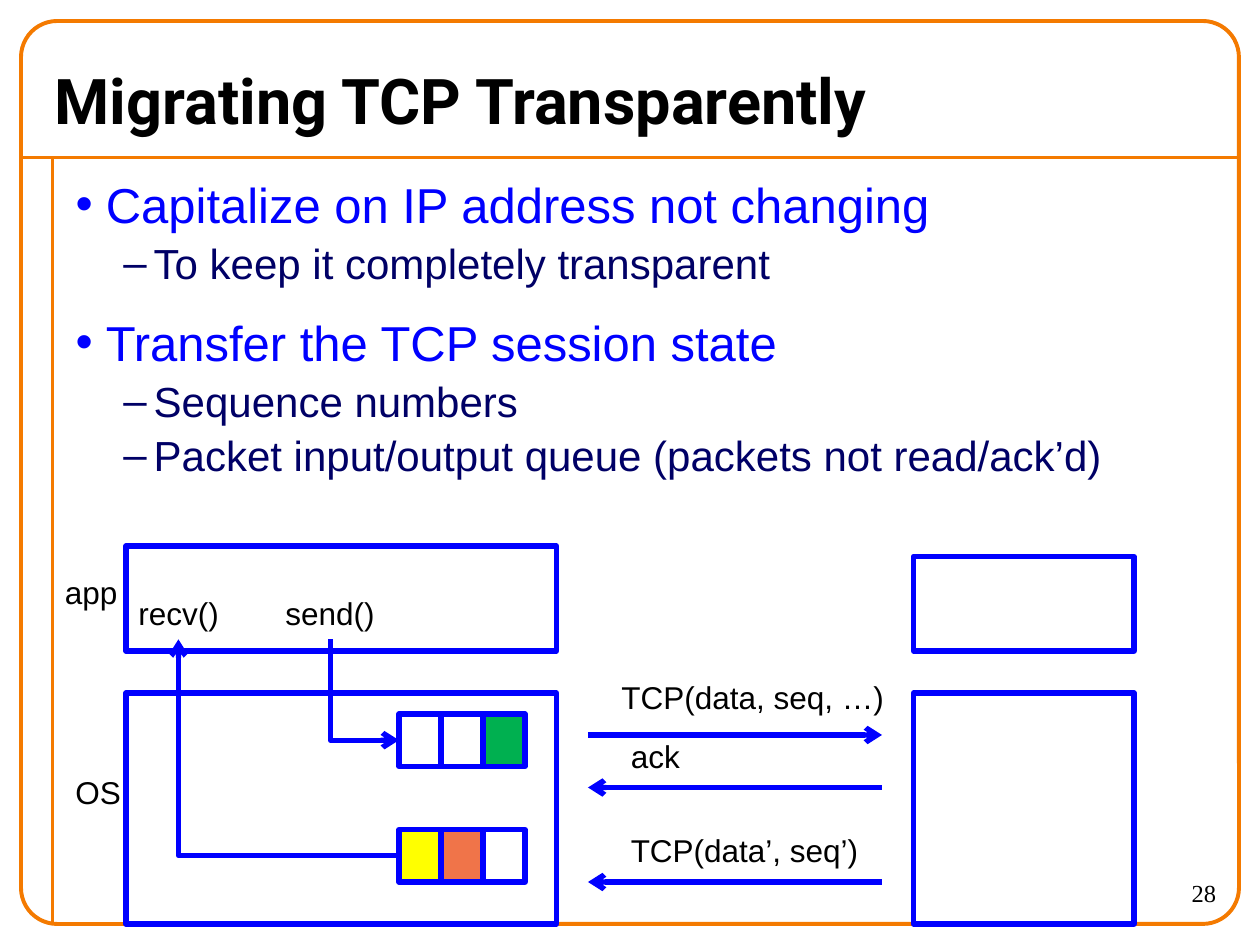
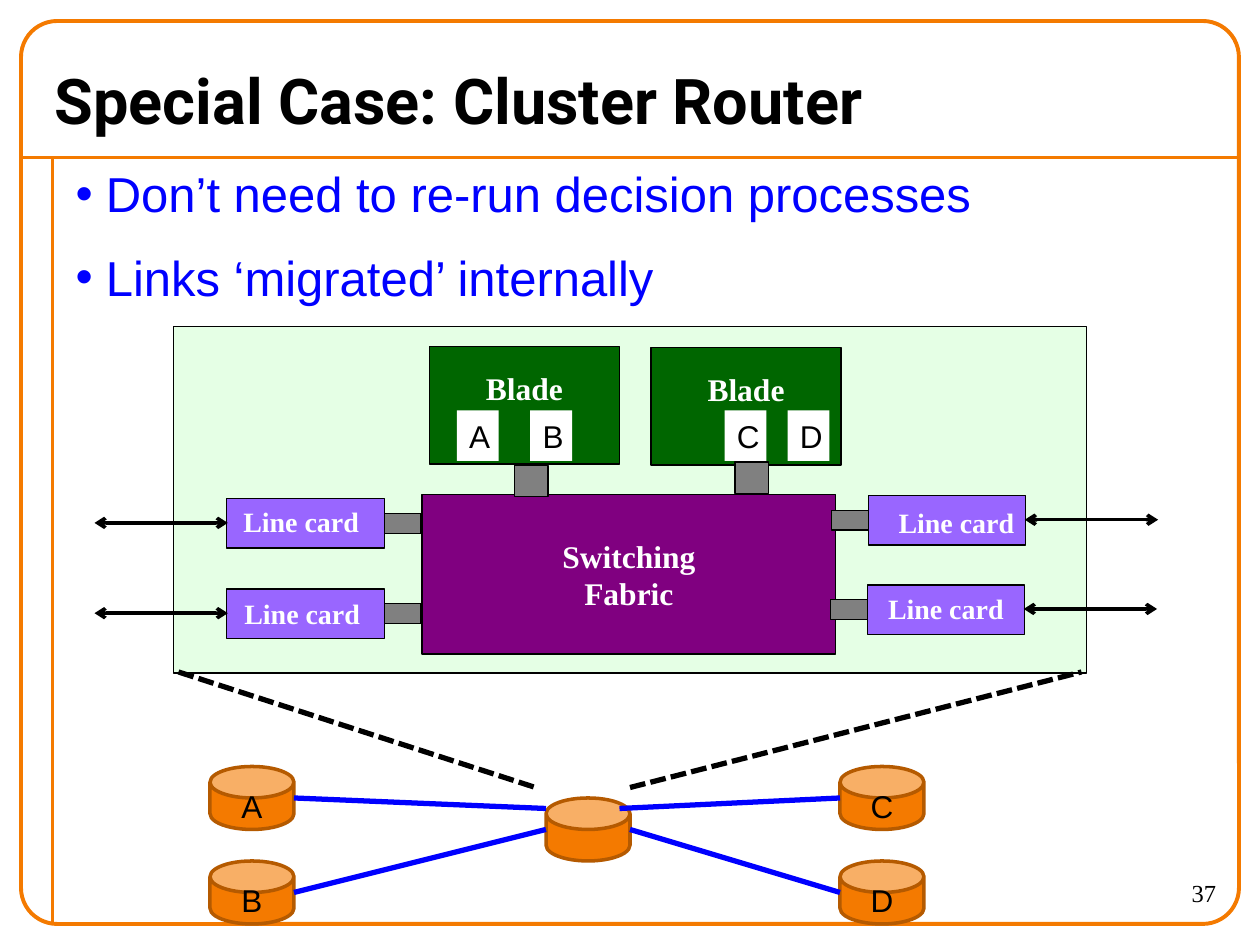
"""Build two slides, on TCP migration and on cluster routers, on a grid of 120 by 90."""
from lxml import etree
from pptx import Presentation
from pptx.dml.color import RGBColor
from pptx.enum.dml import MSO_LINE
from pptx.enum.shapes import MSO_CONNECTOR, MSO_SHAPE
from pptx.enum.text import MSO_ANCHOR, MSO_AUTO_SIZE, PP_ALIGN
from pptx.oxml.ns import qn
from pptx.util import Inches, Pt

RECT, ROUND, CAN = MSO_SHAPE.RECTANGLE, MSO_SHAPE.ROUNDED_RECTANGLE, MSO_SHAPE.CAN
LEFT, MID, RIGHT = PP_ALIGN.LEFT, PP_ALIGN.CENTER, PP_ALIGN.RIGHT
STRAIGHT, ELBOW = MSO_CONNECTOR.STRAIGHT, MSO_CONNECTOR.ELBOW
DOTS = MSO_LINE.SQUARE_DOT
ARIAL, TIMES = "Arial", "Times New Roman"
HEX = {
    "orange": "F47A00", "rust": "B55A00", "blue": "0000FF", "navy": "000066",
    "black": "000000", "white": "FFFFFF", "green": "00B050", "yellow": "FFFF00",
    "coral": "F07449", "mint": "CCFFCC", "purple": "800080", "forest": "006600",
    "gray": "808080", "violet": "9966FF",
}
RGB = {name: RGBColor.from_string(code) for name, code in HEX.items()}
UNIT = Inches(10) / 120
SIGN = {"font": TIMES, "ink": "white", "bold": True}


def box(slide, kind, at, fill=None, line=None, pts=0.75, text="", size=18,
        font=ARIAL, ink="black", bold=False, align=LEFT, wrap=True):
    """Add a shape, or a text box when kind is None, at grid columns and rows."""
    place = [round(n * UNIT) for n in at]
    if kind is None:
        shape = slide.shapes.add_textbox(*place)
    else:
        shape = slide.shapes.add_shape(kind, *place)
        shape.shadow.inherit = False
    if fill:
        shape.fill.solid()
        shape.fill.fore_color.rgb = RGB[fill]
    else:
        shape.fill.background()
    if line:
        shape.line.color.rgb = RGB[line]
        shape.line.width = Pt(pts)
    else:
        shape.line.fill.background()
    if text:
        frame = shape.text_frame
        frame.text = text
        frame.word_wrap = wrap
        for para in frame.paragraphs:
            para.alignment = align
            para.font.name, para.font.size, para.font.bold = font, Pt(size), bold
            para.font.color.rgb = RGB[ink]
    return shape


def link(slide, start, end, ink, pts, ends=(), dash=None, kind=STRAIGHT):
    """Add a line between two grid points, with arrows at the named ends."""
    line = slide.shapes.add_connector(kind, *[round(n * UNIT) for n in (*start, *end)])
    line.line.color.rgb = RGB[ink]
    line.line.width = Pt(pts)
    if dash:
        line.line.dash_style = dash
    props = line.element.spPr
    for name in ends:
        etree.SubElement(props.find(qn("a:ln")), qn(f"a:{name}End"), type="arrow")
    etree.SubElement(props, qn("a:effectLst"))
    if kind == ELBOW:
        props.find(qn("a:prstGeom")).set("prst", "bentConnector2")


deck = Presentation()
deck.slide_width, deck.slide_height = Inches(10), Inches(7.5)

LEVELS = [("•", 0.24, "50000", 28, "blue"), ("–", 0.62, "10000", 24, "navy")]
PAGES = [
    ("Migrating TCP Transparently", "28", (6, 16, 114, 74), [
        (0, "Capitalize on IP address not changing"),
        (1, "To keep it completely transparent"),
        (0, "Transfer the TCP session state"),
        (1, "Sequence numbers"),
        (1, "Packet input/output queue (packets not read/ack’d)"),
    ]),
    ("Special Case: Cluster Router", "37", (6, 15, 111, 73), [
        (0, "Don’t need to re-run decision processes"),
        (0, "Links ‘migrated’ internally"),
    ]),
]

for head, page, area, points in PAGES:
    slide = deck.slides.add_slide(deck.slide_layouts[1])
    title, body = slide.placeholders
    for holder, at in ((title, (4, 5, 105.8, 9)), (body, area)):
        holder.left, holder.top, holder.width, holder.height = [
            round(n * UNIT) for n in at]
        holder.text_frame.auto_size = MSO_AUTO_SIZE.NONE
    title.text_frame.text = head
    title.text_frame.vertical_anchor = MSO_ANCHOR.MIDDLE
    para = title.text_frame.paragraphs[0]
    para.alignment = LEFT
    para.font.name, para.font.size, para.font.bold = "Roboto", Pt(36), True
    para.font.color.rgb = RGB["black"]

    body.text_frame.text = "\n".join(text for _, text in points)
    for para, (level, _) in zip(body.text_frame.paragraphs, points):
        mark, indent, gap, size, ink = LEVELS[level]
        para.level = level
        para.font.name, para.font.size = ARIAL, Pt(size)
        para.font.color.rgb = RGB[ink]
        props = para._p.get_or_add_pPr()
        props.set("marL", str(Inches(indent)))
        props.set("indent", str(Inches(-0.24)))
        space = etree.Element(qn("a:spcBef"))
        etree.SubElement(space, qn("a:spcPct"), val=gap)
        props.insert(0, space)
        bullet = etree.Element(qn("a:buChar"), char=mark)
        props.insert(1, bullet)

    link(slide, (2, 15), (118, 15), "orange", 2.25)
    link(slide, (5, 15), (5, 88), "orange", 2.25)
    frame = box(slide, ROUND, (2, 2, 116, 86), line="orange", pts=2.25)
    frame.adjustments[0] = 0.04
    box(slide, None, (105, 83, 12, 5), text=page, size=14, font=TIMES, align=RIGHT)

tcp, router = deck.slides

for host in ((12, 66, 41, 22), (87, 66, 21, 22), (12, 52, 41, 10), (87, 53, 21, 9)):
    box(tcp, RECT, host, line="blue", pts=3)

QUEUES = [(68, (None, None, "green")), (79, ("yellow", "coral", None))]
for row, fills in QUEUES:
    for i, fill in enumerate(fills):
        box(tcp, RECT, (38 + 4 * i, row, 4, 5), fill, "blue", 3)

for row, end in ((70, "tail"), (75, "head"), (84, "head")):
    link(tcp, (56, row), (84, row), "blue", 3, [end])
for row, col, end in ((81.5, 17, "tail"), (70.5, 31.5, "head")):
    link(tcp, (38, row), (col, 60.9), "blue", 3, [end], kind=ELBOW)

LABELS = [
    (58, 64, 27.7, "TCP(data, seq, …)"), (58.9, 69.6, 7.1, "ack"),
    (58.9, 78.6, 24.2, "TCP(data’, seq’)"), (12, 56, 10.2, "recv()"),
    (26, 56, 11, "send()"), (5, 54, 7.4, "app"), (6, 73, 6.8, "OS"),
]
for col, row, wide, text in LABELS:
    box(tcp, None, (col, row, wide, 4.8), text=text, wrap=False)

panel = box(router, RECT, (16.5, 31.1, 87, 33), "mint", "black")
tint = panel.element.spPr.find(qn("a:solidFill"))[0]
etree.SubElement(tint, qn("a:alpha"), val="50000")
box(router, RECT, (40.2, 47.1, 39.4, 15.2), "purple", "black",
    text="Switching\nFabric", align=MID, **SIGN)

BLADES = [(40.9, 33, 49, 44.3), (62, 33.1, 70, 44)]
for col, row, stem, foot in BLADES:
    blade = box(router, RECT, (col, row, 18.1, 11.2), "forest", "black",
                text="Blade", align=MID, **SIGN)
    blade.text_frame.margin_bottom = Inches(0.33)
    box(router, RECT, (stem, foot, 3.2, 3), "gray", "black")
for col, name in zip((43.5, 50.5, 69, 75), "ABCD"):
    box(router, RECT, (col, 39.1, 4, 4.8), "white", text=name)

CARDS = [
    (21.6, 47.5, 22, 47.5), (21.6, 56.1, 22.1, 56.2),
    (82.7, 47.2, 84.4, 47.6), (82.6, 55.7, 83.4, 55.7),
]
for col, row, left, top in CARDS:
    plug, near, far = (15, 0.1, -12.6) if col < 60 else (-3.5, 14.9, 27.6)
    box(router, RECT, (col, row, 15, 4.7), "violet", "black")
    box(router, RECT, (col + plug, row + 1.4, 3.5, 1.9), "gray", "black")
    box(router, None, (left, top, 13.4, 4.4), text="Line card", size=16,
        wrap=False, **SIGN)
    link(router, (col + near, row + 2.3), (col + far, row + 2.3), "black", 2,
         ["head", "tail"])

NODES = [(20, 73, "A"), (20, 82, "B"), (52, 76, ""), (80, 73, "C"), (80, 82, "D")]
for col, row, name in NODES:
    can = box(router, CAN, (col, row, 8, 6), "orange", "rust", 2,
              text=name, align=MID)
    can.adjustments[0] = 0.59

SPOKES = [
    ((28, 76), (52, 77)), ((28, 85), (52, 79)),
    ((59, 77), (80, 76)), ((60, 79), (80, 85)),
]
for start, end in SPOKES:
    link(router, start, end, "blue", 3)
for start, end in (((17, 64), (51, 75)), ((60, 75), (103, 64))):
    link(router, start, end, "black", 3, dash=DOTS)

deck.save("out.pptx")
